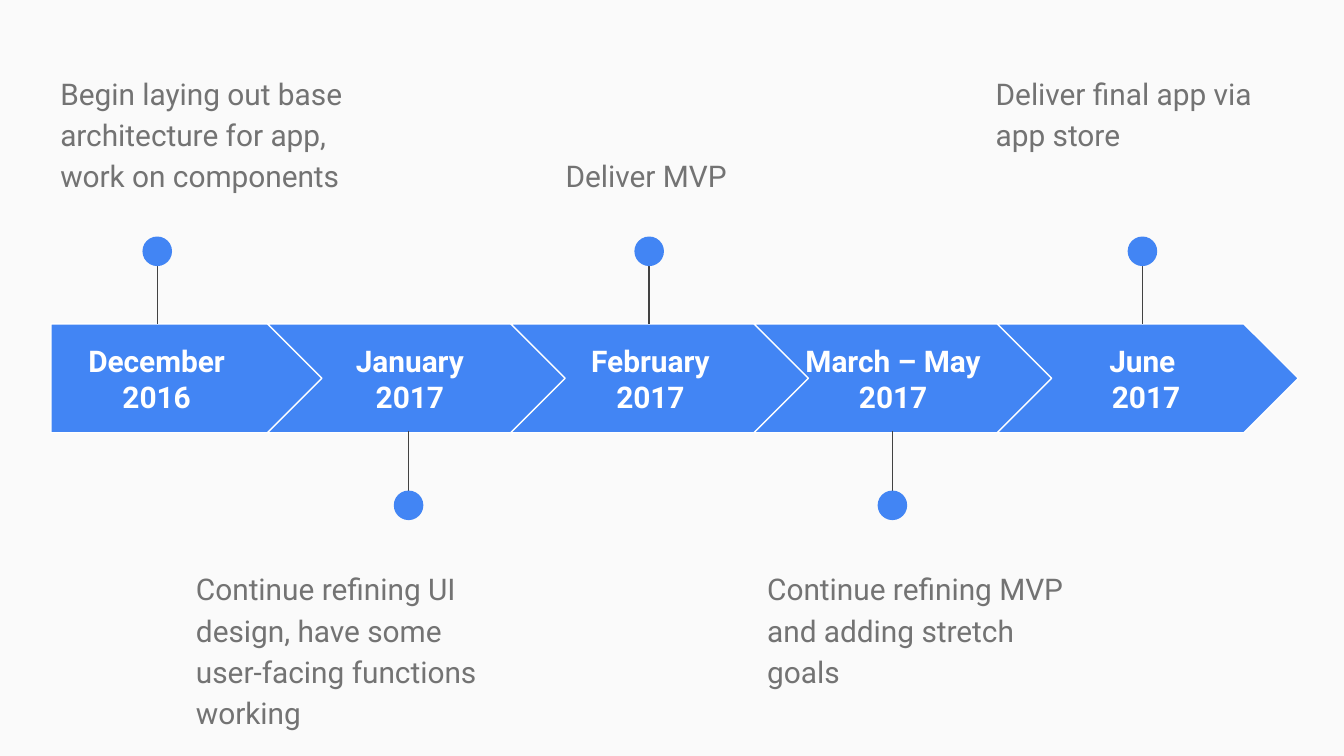
from dataclasses import dataclass

from lxml import etree
from pptx import Presentation
from pptx.dml.color import RGBColor
from pptx.enum.shapes import MSO_CONNECTOR, MSO_SHAPE as Shape
from pptx.enum.text import MSO_ANCHOR as Anchor, PP_ALIGN as Align
from pptx.oxml.ns import qn
from pptx.util import Inches, Pt

BAND_TOP, BAND_HEIGHT = 2.41, 0.81
CHEVRON_LEFT, CHEVRON_STEP, CHEVRON_WIDTH = 1.99, 1.81, 2.24
DOT = 0.22


def color(hex_code):
    return RGBColor.from_string(hex_code)


@dataclass
class Timeline:
    slide: object
    font: str = "Roboto"
    size: int = 16
    blue: str = "4285F4"
    white: str = "FFFFFF"
    gray: str = "737373"
    dark: str = "424242"

    def shape(self, kind, left, top, width, height, outline=None):
        shape = self.slide.shapes.add_shape(
            kind, Inches(left), Inches(top), Inches(width), Inches(height))
        shape.shadow.inherit = False
        shape.fill.solid()
        shape.fill.fore_color.rgb = color(self.blue)
        if outline:
            shape.line.color.rgb = color(outline)
            shape.line.width = Pt(0.75)
        else:
            shape.line.fill.background()
        return shape

    def text(self, lines, left, top, width, height, ink, bold=False):
        box = self.slide.shapes.add_textbox(
            Inches(left), Inches(top), Inches(width), Inches(height))
        frame = box.text_frame
        frame.word_wrap = True
        frame.margin_left = frame.margin_right = Inches(0.1)
        frame.margin_top = frame.margin_bottom = Inches(0.1)
        para = frame.paragraphs[0]
        for number, line in enumerate(lines.split("\n")):
            if number:
                para.add_line_break()
            span = para.add_run()
            span.text = line
            span.font.name = self.font
            span.font.size = Pt(self.size)
            span.font.bold = bold
            span.font.color.rgb = color(ink)
        return frame

    def band(self, index):
        if index == 0:
            kind, left, width = Shape.PENTAGON, 0.38, 2.04
        else:
            kind, width = Shape.CHEVRON, CHEVRON_WIDTH
            left = CHEVRON_LEFT + (index - 1) * CHEVRON_STEP
        arrow = self.shape(kind, left, BAND_TOP, width, BAND_HEIGHT, self.white)
        arrow.adjustments[0] = 0.5

    def label(self, date, left, width):
        frame = self.text(date, left, 2.56, width, 0.51, self.white, bold=True)
        frame.vertical_anchor = Anchor.MIDDLE
        frame.paragraphs[0].alignment = Align.CENTER

    def pin(self, x, above):
        start, end, dot_top = (1.8, 2.41, 1.76) if above else (3.82, 3.21, 3.65)
        stem = self.slide.shapes.add_connector(
            MSO_CONNECTOR.STRAIGHT, Inches(x), Inches(start), Inches(x), Inches(end))
        stem.line.color.rgb = color(self.dark)
        stem.line.width = Pt(0.75)
        etree.SubElement(stem._element.spPr, qn("a:effectLst"))
        self.shape(Shape.OVAL, x - DOT / 2, dot_top, DOT, DOT)

    def note(self, words, left, top):
        frame = self.text(words, left, top, 2.45, 0.99, self.gray)
        para = frame.paragraphs[0]
        para.line_spacing = 1.15
        para.space_after = Pt(16)


# Date, label left and width, pin x, note, note left and top
STAGES = [
    ("December 2016", 0.37, 1.59, 1.17,
     "Begin laying out base architecture for app, work on components", 0.35, 0.42),
    ("January 2017", 2.33, 1.44, 3.04,
     "Continue refining UI design, have some user-facing functions working", 1.36, 4.11),
    ("February 2017", 4.12, 1.44, 4.83, "Deliver MVP", 4.11, 1.03),
    ("March – May 2017", 5.85, 1.59, 6.64,
     "Continue refining MVP and adding stretch goals", 5.61, 4.11),
    ("June\n 2017", 7.78, 1.44, 8.5, "Deliver final app via app store", 7.31, 0.42),
]


def main():
    # Widescreen page, 16 by 9
    deck = Presentation()
    deck.slide_width = Inches(10)
    deck.slide_height = Inches(10) * 9 // 16
    page = deck.slides.add_slide(deck.slide_layouts[6])
    page.background.fill.solid()
    page.background.fill.fore_color.rgb = color("FAFAFA")

    # Stages, with pins alternating above and below the band
    timeline = Timeline(page)
    for index, (date, left, width, x, words, note_left, note_top) in enumerate(STAGES):
        timeline.band(index)
        timeline.label(date, left, width)
        timeline.pin(x, above=index % 2 == 0)
        timeline.note(words, note_left, note_top)

    deck.save("out.pptx")


if __name__ == "__main__":
    main()
